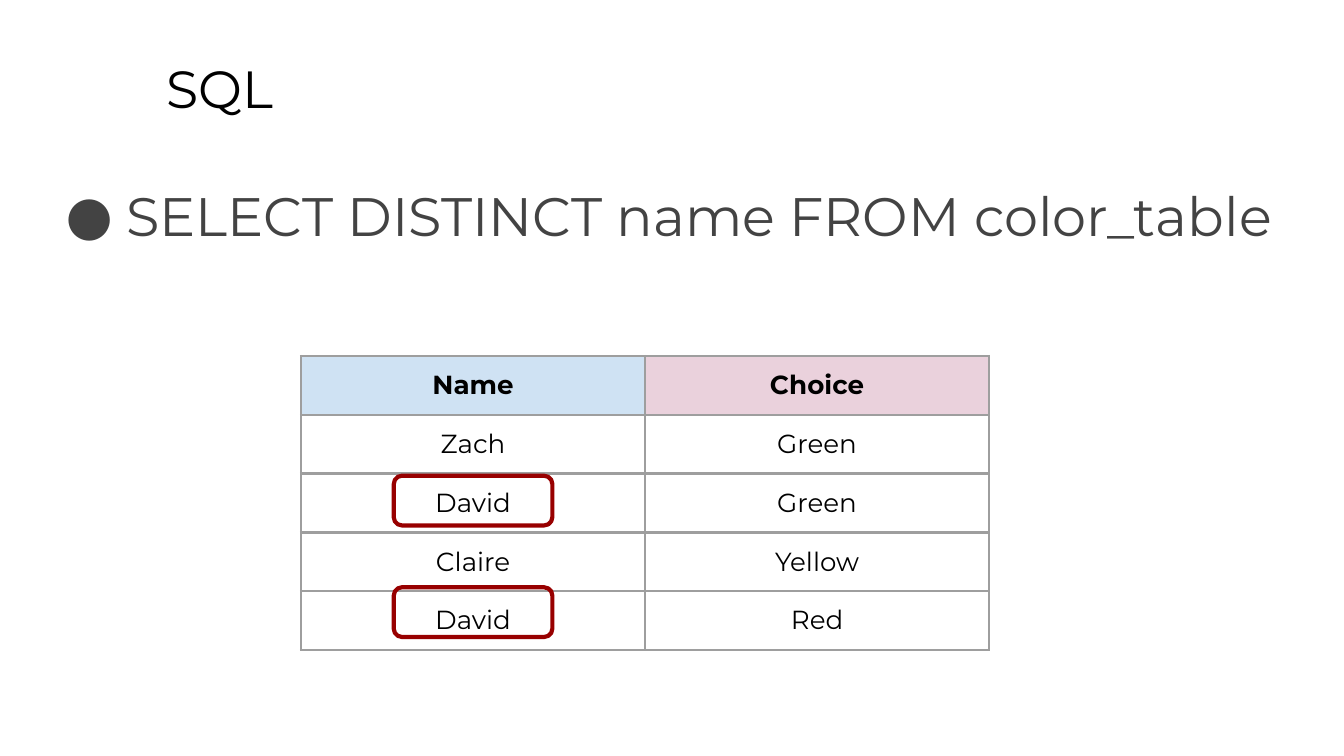
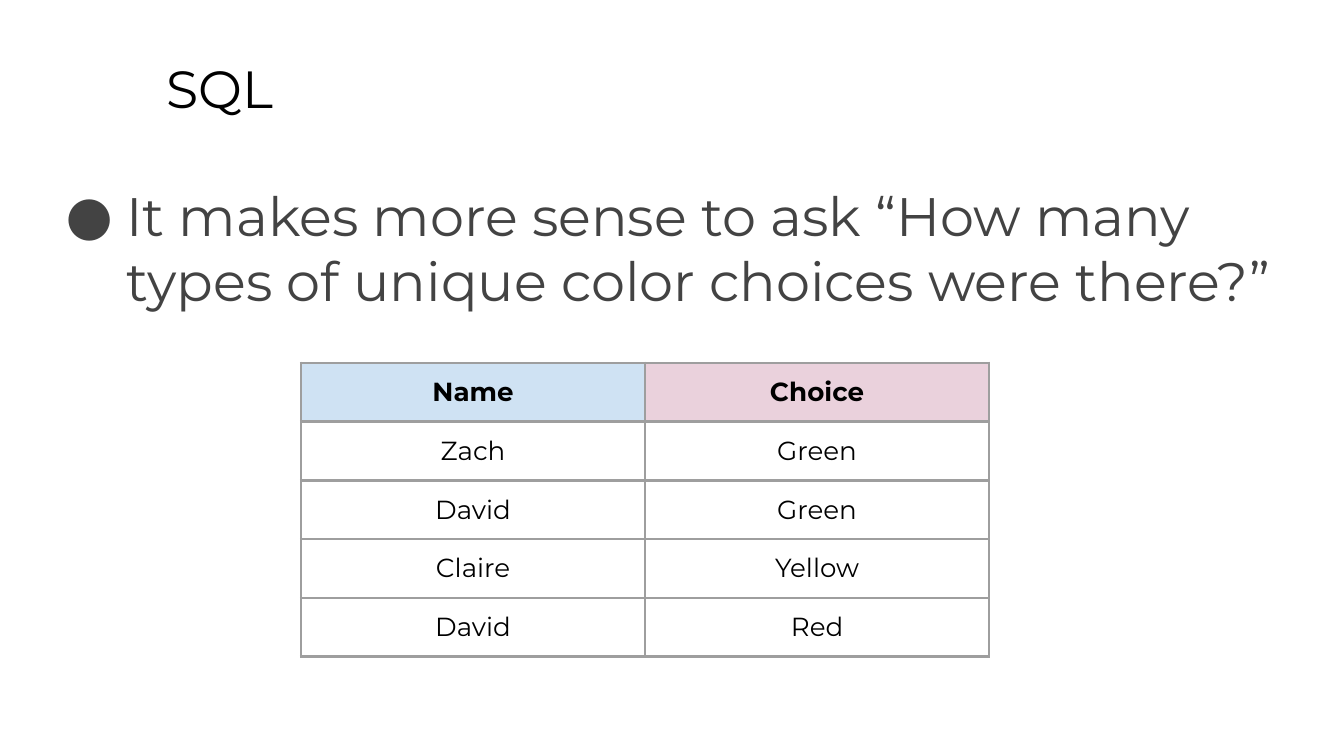
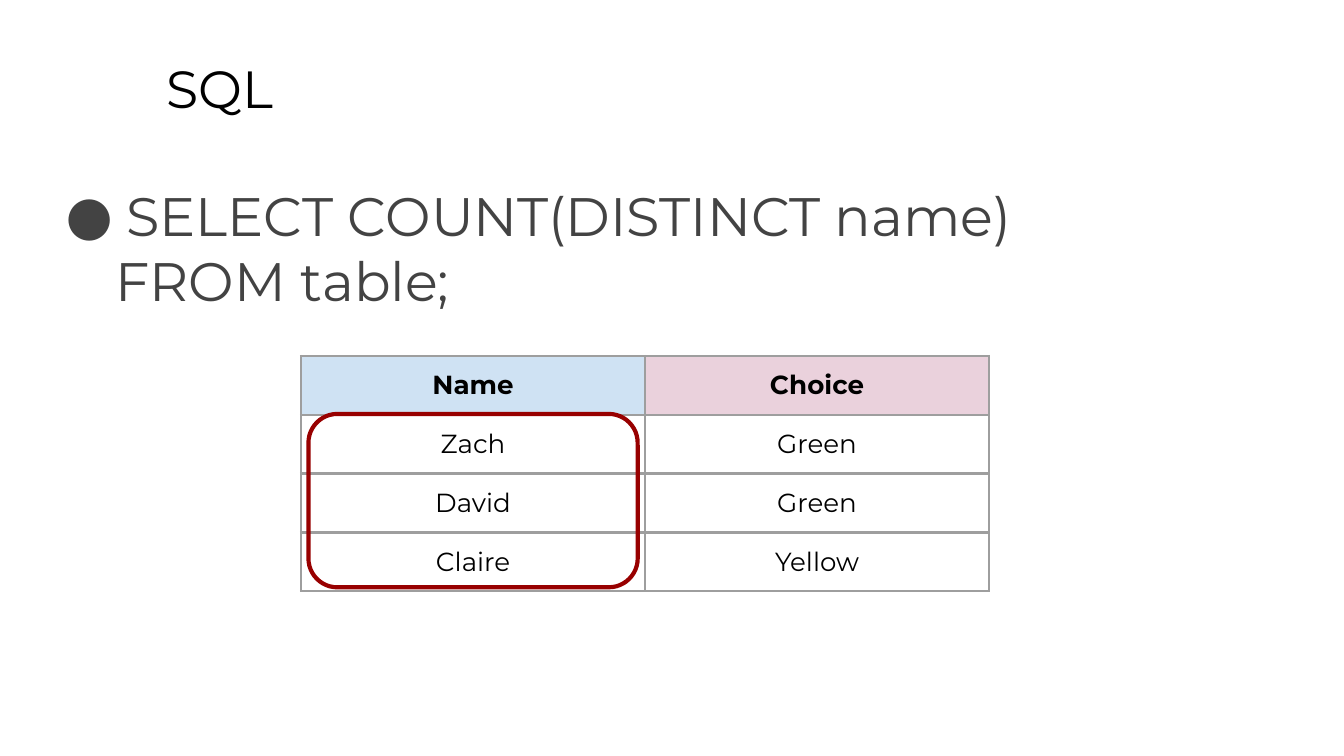
from dataclasses import dataclass

from lxml import etree
from pptx import Presentation
from pptx.dml.color import RGBColor
from pptx.enum.shapes import MSO_SHAPE
from pptx.enum.text import MSO_ANCHOR, MSO_AUTO_SIZE, PP_ALIGN
from pptx.oxml.ns import qn
from pptx.util import Inches, Pt

ROUNDED = MSO_SHAPE.ROUNDED_RECTANGLE
TOP = MSO_ANCHOR.TOP
NO_AUTOFIT = MSO_AUTO_SIZE.NONE
LEFT, CENTER = PP_ALIGN.LEFT, PP_ALIGN.CENTER
TITLE_ONLY = 5


@dataclass(frozen=True)
class Theme:
    font: str = "Montserrat"
    title_size: float = 28
    body_size: float = 29
    table_size: float = 14
    border_width: float = 1.5
    highlight_width: float = 2.25
    ink: str = "000000"
    body: str = "434343"
    border: str = "9E9E9E"
    highlight: str = "980000"
    headers: tuple = ("CFE2F3", "EAD1DC")


@dataclass(frozen=True)
class Box:
    left: float
    top: float
    width: float
    height: float

    def lengths(self):
        return [cells(n) for n in (self.left, self.top, self.width, self.height)]

    def inner(self, left, top, width, height):
        return Box(self.left + left, self.top + top, width, height)


THEME = Theme()
GRID_CELL = 0.1
INSET = 1
SLIDE_COLUMNS, SLIDE_ROWS = 100, 56.25
TITLE_BOX = Box(11.4, 3.2, 85.2, 6.3)
BODY_BOX = Box(3.4, 12.6, 95, 37.4)
TABLE_LEFT, TABLE_TOP, LOWER_TABLE_TOP = 22.4, 26.5, 27
COLUMN_WIDTH, ROW_HEIGHT = 25.6, 4.2
BULLET_INDENT, BULLET_HANG, CONTINUATION_INDENT = 5, 4.5, 4.2

CHOICES = [
    ("Name", "Choice"),
    ("Zach", "Green"),
    ("David", "Green"),
    ("Claire", "Yellow"),
    ("David", "Red"),
]


def cells(count):
    return Inches(count * GRID_CELL)


def style_para(para, size, color, bold=False, align=LEFT):
    para.alignment = align
    for span in para.runs:
        span.font.name = THEME.font
        span.font.size = Pt(size)
        span.font.bold = bold
        span.font.color.rgb = RGBColor.from_string(color)


def set_frame(frame):
    frame.word_wrap = True
    frame.auto_size = NO_AUTOFIT
    frame.vertical_anchor = TOP
    frame.margin_left = frame.margin_right = cells(INSET)
    frame.margin_top = frame.margin_bottom = cells(INSET)


def set_bullet(para):
    properties = para._p.get_or_add_pPr()
    properties.set("marL", str(cells(BULLET_INDENT)))
    properties.set("indent", str(-cells(BULLET_HANG)))
    color = etree.SubElement(properties, qn("a:buClr"))
    etree.SubElement(color, qn("a:srgbClr"), val=THEME.body)
    etree.SubElement(properties, qn("a:buFont"), typeface=THEME.font)
    etree.SubElement(properties, qn("a:buChar"), char="●")


def set_borders(cell):
    properties = cell._tc.get_or_add_tcPr()
    for position, side in enumerate(("lnL", "lnR", "lnT", "lnB")):
        line = etree.Element(qn(f"a:{side}"), w=str(Pt(THEME.border_width)))
        fill = etree.SubElement(line, qn("a:solidFill"))
        etree.SubElement(fill, qn("a:srgbClr"), val=THEME.border)
        properties.insert(position, line)


def place_title(page, box, text):
    title = page.shapes.title
    title.left, title.top, title.width, title.height = box.lengths()
    title.text_frame.text = text
    set_frame(title.text_frame)
    style_para(title.text_frame.paragraphs[0], THEME.title_size, THEME.ink)


def place_body(page, box, lines):
    frame = page.shapes.add_textbox(*box.lengths()).text_frame
    set_frame(frame)
    frame.text = "\n".join(lines)
    first, *others = frame.paragraphs
    set_bullet(first)
    for para in others:
        para._p.get_or_add_pPr().set("marL", str(cells(CONTINUATION_INDENT)))
    for para in frame.paragraphs:
        style_para(para, THEME.body_size, THEME.body)


def place_table(page, box, rows):
    table = page.shapes.add_table(len(rows), len(rows[0]), *box.lengths()).table
    table.horz_banding = False
    for row_index, row in enumerate(rows):
        is_header = row_index == 0
        table.rows[row_index].height = cells(ROW_HEIGHT)
        for column_index, text in enumerate(row):
            table.columns[column_index].width = cells(COLUMN_WIDTH)
            cell = table.cell(row_index, column_index)
            cell.text_frame.text = text
            cell.margin_left = cell.margin_right = cells(INSET)
            cell.margin_top = cell.margin_bottom = cells(INSET)
            style_para(cell.text_frame.paragraphs[0], THEME.table_size,
                       THEME.ink, is_header, CENTER)
            if is_header:
                cell.fill.solid()
                cell.fill.fore_color.rgb = RGBColor.from_string(THEME.headers[column_index])
            else:
                cell.fill.background()
            set_borders(cell)


def place_highlight(page, table_box, top, width, height):
    box = table_box.inner((COLUMN_WIDTH - width) / 2, top, width, height)
    frame = page.shapes.add_shape(ROUNDED, *box.lengths())
    frame.shadow.inherit = False
    frame.fill.background()
    frame.line.color.rgb = RGBColor.from_string(THEME.highlight)
    frame.line.width = Pt(THEME.highlight_width)


def add_query_slide(deck, lines, rows, table_top=TABLE_TOP, highlights=()):
    page = deck.slides.add_slide(deck.slide_layouts[TITLE_ONLY])
    place_title(page, TITLE_BOX, "SQL")
    place_body(page, BODY_BOX, lines)
    table_box = Box(TABLE_LEFT, table_top,
                    COLUMN_WIDTH * len(rows[0]), ROW_HEIGHT * len(rows))
    place_table(page, table_box, rows)
    for top, width, height in highlights:
        place_highlight(page, table_box, top, width, height)


def main():
    deck = Presentation()
    deck.slide_width, deck.slide_height = cells(SLIDE_COLUMNS), cells(SLIDE_ROWS)
    add_query_slide(deck, ["SELECT DISTINCT name FROM color_table"], CHOICES,
                    highlights=[(8.9, 11.8, 3.7), (17.2, 11.8, 3.7)])
    add_query_slide(
        deck,
        ["It makes more sense to ask “How many types of unique color choices were there?”"],
        CHOICES, table_top=LOWER_TABLE_TOP)
    add_query_slide(deck, ["SELECT COUNT(DISTINCT name)", "FROM table;"], CHOICES[:-1],
                    highlights=[(4.3, 24.5, 12.9)])
    deck.save("out.pptx")


if __name__ == "__main__":
    main()
